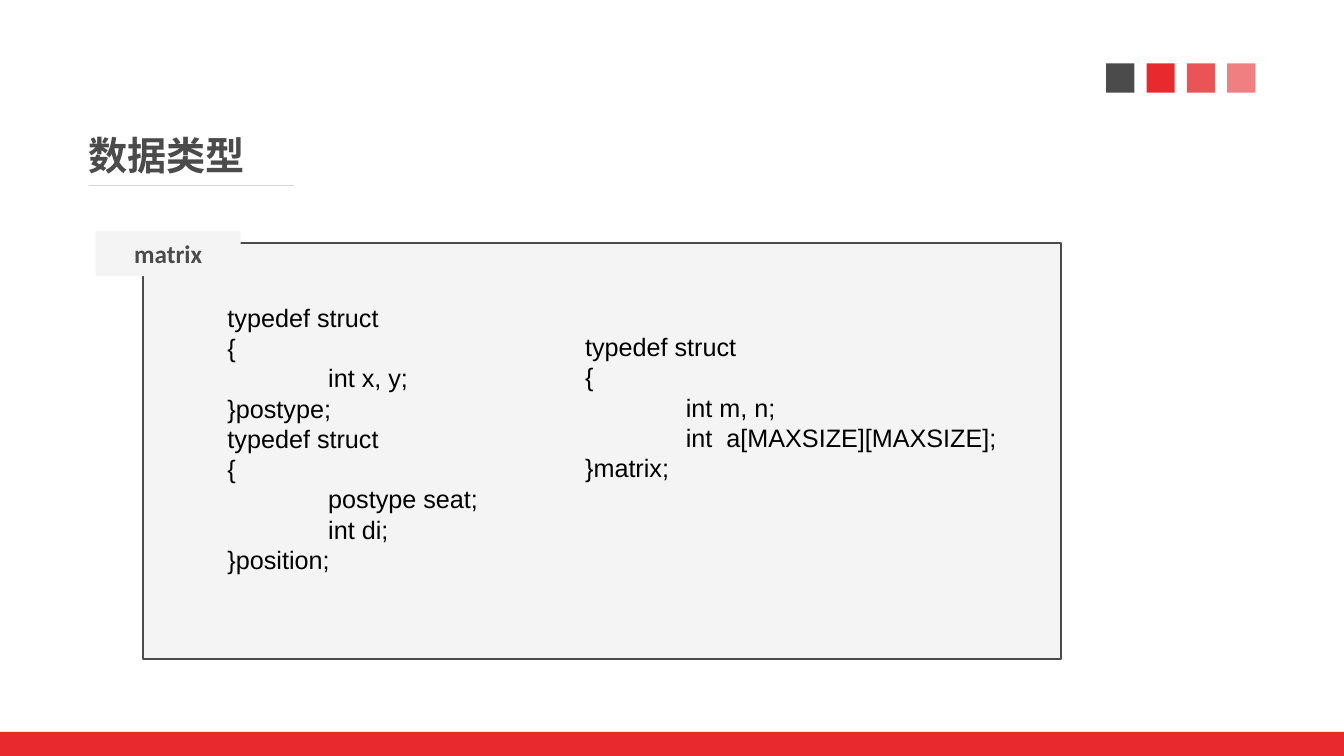
from lxml import etree
from pptx import Presentation, util as u
from pptx.dml.color import RGBColor
from pptx.enum import shapes as sh, text as tx
from pptx.oxml.ns import qn

RED, DARK, PALE, RULE, BLACK = "E72A2E", "4B4B4B", "F4F4F4", "D8D8D8", "000000"

POSITION = """typedef struct
{
\tint x, y;
}postype;
typedef struct
{
\tpostype seat;
\tint di;
}position;"""

MATRIX = """typedef struct
{
\tint m, n;
\tint  a[MAXSIZE][MAXSIZE];
}matrix;"""


def color(code):
    return RGBColor.from_string(code)


def inches(*nums):
    return [u.Inches(n) for n in nums]


def add_rect(slide, box, fill, line=None, alpha=100):
    """Draw a flat rectangle; alpha is its opacity in percent."""
    rect = slide.shapes.add_shape(sh.MSO_SHAPE.RECTANGLE, *inches(*box))
    rect.shadow.inherit = False
    rect.fill.solid()
    rect.fill.fore_color.rgb = color(fill)
    if alpha < 100:
        tint = rect.fill._xPr.find(qn("a:solidFill"))[0]
        etree.SubElement(tint, qn("a:alpha"), val=str(alpha * 1000))
    if line:
        rect.line.color.rgb = color(line)
        rect.line.width = u.Pt(1)
    else:
        rect.line.fill.background()
    return rect


def add_rule(slide, start, end, ink):
    rule = slide.shapes.add_connector(
        sh.MSO_CONNECTOR.STRAIGHT, *inches(*start, *end))
    rule.line.color.rgb = color(ink)
    rule.line.width = u.Pt(1)
    etree.SubElement(rule._element.spPr, qn("a:effectLst"))


def add_tab(para, pos):
    """Set a left tab stop, in inches."""
    stops = etree.SubElement(para._p.get_or_add_pPr(), qn("a:tabLst"))
    etree.SubElement(stops, qn("a:tab"), pos=str(u.Inches(pos)), algn="l")


def set_text(frame, words, font, size, ink, bold=False, align=tx.PP_ALIGN.LEFT):
    frame.text = words
    for para in frame.paragraphs:
        para.alignment = align
        if "\t" in words:
            add_tab(para, 1)
        para.font.name = font
        para.font.size = u.Pt(size)
        para.font.bold = bold
        para.font.color.rgb = color(ink)


def add_text(slide, box, words, font, size, ink, bold=False, wrap=True):
    frame = slide.shapes.add_textbox(*inches(*box)).text_frame
    frame.word_wrap = wrap
    frame.auto_size = tx.MSO_AUTO_SIZE.SHAPE_TO_FIT_TEXT
    set_text(frame, words, font, size, ink, bold)


def add_label(slide, box, words):
    frame = add_rect(slide, box, PALE).text_frame
    frame.vertical_anchor = tx.MSO_ANCHOR.MIDDLE
    set_text(frame, words, "Calibri", 18, DARK, True, tx.PP_ALIGN.CENTER)


def add_squares(slide):
    tints = [(DARK, 100), (RED, 100), (RED, 80), (RED, 60)]
    for i, (fill, alpha) in enumerate(tints):
        add_rect(slide, (10.98 + 0.4 * i, 0.63, 0.28, 0.29), fill, alpha=alpha)


def main():
    deck = Presentation()
    deck.slide_width, deck.slide_height = inches(13.34, 7.5)
    slide = deck.slides.add_slide(deck.slide_layouts[6])

    add_squares(slide)
    add_rect(slide, (0, 7.26, 13.34, 0.24), RED)
    add_rect(slide, (1.42, 2.41, 9.11, 4.13), PALE, DARK)
    add_label(slide, (0.95, 2.29, 1.44, 0.45), "matrix")
    add_text(slide, (0.78, 1.25, 1.75, 0.57), "数据类型",
             "Roboto", 28, DARK, bold=True, wrap=False)
    add_rule(slide, (0.88, 1.84), (2.92, 1.84), RULE)
    add_text(slide, (2.16, 2.95, 6.74, 3.1), POSITION, "Arial", 18, BLACK)
    add_text(slide, (5.71, 3.24, 4.5, 1.9), MATRIX, "Arial", 18, BLACK)
    deck.save("out.pptx")


if __name__ == "__main__":
    main()
